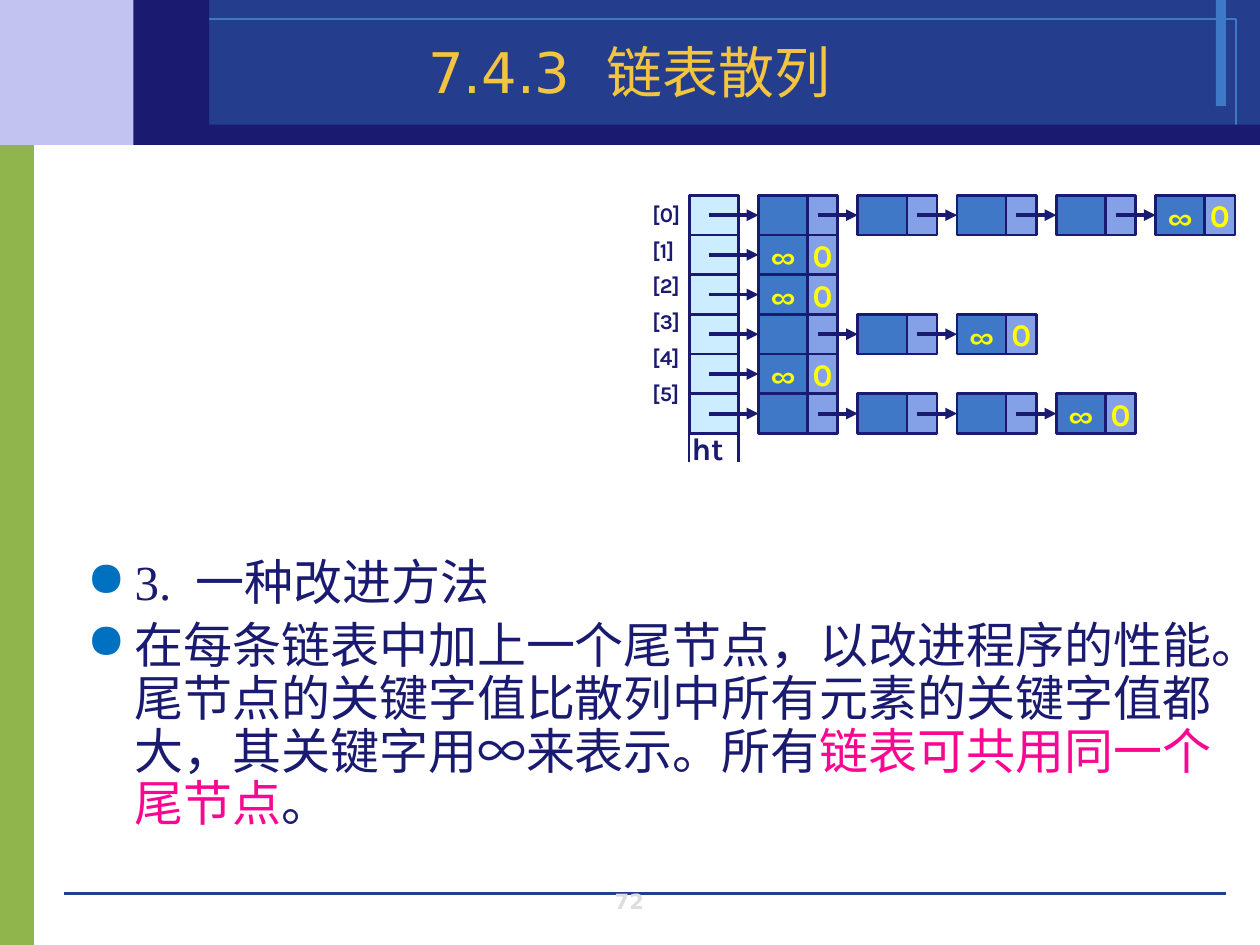
from lxml import etree
from pptx import Presentation, util as u
from pptx.dml.color import RGBColor
from pptx.enum import shapes, text
from pptx.oxml.ns import qn

NAVY, BLUE, ROYAL, LILAC = "1A1A70", "3E78C6", "243D8C", "84A1E8"
ROW_TOP, ROW_HEIGHT = 1.55, 0.315
TABLE_LEFT, KEY_WIDTH, LINK_WIDTH = 5.47, 0.39, 0.24
NODE_LEFT, NODE_PITCH = 6.02, 0.788
CHAIN_LENGTHS = [5, 1, 1, 3, 1, 4]


def color(value):
    """Turn a hex string into a colour."""
    return RGBColor.from_string(value)


def add_run(paragraph, words, size, font, fill, bold=False):
    """Add one formatted run to a paragraph."""
    run = paragraph.add_run()
    run.text = words
    run.font.size = u.Pt(size)
    run.font.name = font
    run.font.bold = bold
    run.font.color.rgb = color(fill)


def add_box(slide, left, top, width, height, fill=None, line=None, weight=1.5):
    """Add a rectangle without shadow."""
    shape = slide.shapes.add_shape(
        shapes.MSO_SHAPE.RECTANGLE, *map(u.Inches, (left, top, width, height)))
    shape.shadow.inherit = False
    if fill:
        shape.fill.solid()
        shape.fill.fore_color.rgb = color(fill)
    else:
        shape.fill.background()
    if line:
        shape.line.color.rgb = color(line)
        shape.line.width = u.Pt(weight)
    else:
        shape.line.fill.background()
    return shape


def add_line(slide, start, end, stroke, weight):
    """Add a straight line without shadow."""
    line = slide.shapes.add_connector(
        shapes.MSO_CONNECTOR.STRAIGHT, *map(u.Inches, (*start, *end)))
    line.line.color.rgb = color(stroke)
    line.line.width = u.Pt(weight)
    etree.SubElement(line._element.spPr, qn("a:effectLst"))
    return line


def add_arrow(slide, left, middle, target):
    """Add an arrow that ends at the left side of the target."""
    arrow = add_line(slide, (left, middle), (left + 0.3, middle), NAVY, 2.25)
    arrow.end_connect(target, 1)
    etree.SubElement(arrow.line._get_or_add_ln(), qn("a:tailEnd"), type="triangle")


def add_text_box(slide, left, top, width, height):
    """Add a wrapping text box and return its text frame."""
    frame = slide.shapes.add_textbox(
        *map(u.Inches, (left, top, width, height))).text_frame
    frame.word_wrap = True
    return frame


def next_paragraph(frame, index, space):
    """Return the paragraph at the index, spaced from the one before."""
    if index == 0:
        return frame.paragraphs[0]
    paragraph = frame.add_paragraph()
    paragraph.space_before = u.Pt(space)
    return paragraph


def add_bullet(paragraph):
    """Give a paragraph a hanging round bullet."""
    properties = paragraph._p.get_or_add_pPr()
    properties.set("marL", str(u.Inches(0.38)))
    properties.set("indent", str(u.Inches(-0.38)))
    bullet_color = etree.SubElement(properties, qn("a:buClr"))
    etree.SubElement(bullet_color, qn("a:srgbClr"), val="0070C0")
    etree.SubElement(properties, qn("a:buChar"), char="●")


def add_symbol(shape, symbol, size):
    """Centre a yellow symbol in a cell."""
    frame = shape.text_frame
    frame.word_wrap = False
    frame.vertical_anchor = text.MSO_ANCHOR.MIDDLE
    paragraph = frame.paragraphs[0]
    paragraph.alignment = text.PP_ALIGN.CENTER
    add_run(paragraph, symbol, size, "Karla", "FFFF00", True)


def add_frame(slide):
    """Draw the coloured bands and the footer."""
    add_box(slide, 0, 1.07, 0.27, 6.43, "90B54D")
    add_box(slide, 0, 0, 1.53, 1.15, "C3C3F1")
    add_box(slide, 1.53, 0, 8.47, 1.15, ROYAL)
    add_box(slide, 9.65, 0, 0.08, 0.84, BLUE)
    add_box(slide, 1.19, 0.15, 8.62, 0.85, line=BLUE, weight=0)
    add_line(slide, (0.51, 7.09), (9.73, 7.09), ROYAL, 0)
    add_box(slide, 1.3, 0.99, 8.7, 0.16, NAVY)
    add_box(slide, 1.06, 0, 0.6, 1.15, NAVY)
    frame = add_text_box(slide, 3.83, 7.05, 2.33, 0.25)
    frame.vertical_anchor = text.MSO_ANCHOR.BOTTOM
    frame.paragraphs[0].alignment = text.PP_ALIGN.CENTER
    add_run(frame.paragraphs[0], "72", 12, "DejaVu Sans", "DDDDDD", True)


def add_title(slide):
    """Format the title and bring it in front of the bands."""
    title = slide.shapes.title
    title.left, title.top, title.width, title.height = map(
        u.Inches, (3.02, 0.13, 3.95, 0.75))
    title._element.getparent().append(title._element)
    frame = title.text_frame
    frame.vertical_anchor = text.MSO_ANCHOR.BOTTOM
    frame.paragraphs[0].alignment = text.PP_ALIGN.CENTER
    add_run(frame.paragraphs[0], "7.4.3  链表散列", 32, "DejaVu Sans", "F3C43F")


def add_body(slide):
    """Add the bulleted explanation."""
    paragraphs = [
        [("3.  一种改进方法", NAVY)],
        [("在每条链表中加上一个尾节点，以改进程序的性能。尾节点的关键字值比散列中所有元素的"
          "关键字值都大，其关键字用∞来表示。所有", NAVY),
         ("链表可共用同一个尾节点", "FA0691"), ("。", NAVY)],
    ]
    frame = add_text_box(slide, 0.59, 4.38, 9.28, 2.22)
    for index, runs in enumerate(paragraphs):
        paragraph = next_paragraph(frame, index, 5.6)
        paragraph.line_spacing = 0.9
        add_bullet(paragraph)
        for words, fill in runs:
            add_run(paragraph, words, 28, "Times New Roman", fill)


def add_chain(slide, top, length):
    """Draw one bucket with its linked nodes, ending in the tail node."""
    middle = top + ROW_HEIGHT / 2
    add_box(slide, TABLE_LEFT, top, KEY_WIDTH, ROW_HEIGHT, "CCECFF", NAVY)
    arrow_left = TABLE_LEFT + 0.16
    for index in range(length):
        left = NODE_LEFT + index * NODE_PITCH
        key = add_box(slide, left, top, KEY_WIDTH, ROW_HEIGHT, BLUE, NAVY)
        link = add_box(slide, left + KEY_WIDTH, top, LINK_WIDTH, ROW_HEIGHT, LILAC, NAVY)
        add_arrow(slide, arrow_left, middle, key)
        arrow_left = left + 0.47
    add_symbol(key, "∞", 20)
    add_symbol(link, "0", 18)


def add_hash_table(slide):
    """Draw the bucket column, its labels and all chains."""
    labels = add_text_box(slide, 5.08, 1.55, 0.47, 1.8)
    for row, length in enumerate(CHAIN_LENGTHS):
        add_chain(slide, ROW_TOP + row * ROW_HEIGHT, length)
        add_run(next_paragraph(labels, row, 6), f"[{row}]", 12, "Karla", NAVY, True)
    for left in (TABLE_LEFT, TABLE_LEFT + KEY_WIDTH):
        add_line(slide, (left, ROW_TOP), (left, 3.67), NAVY, 1.5)
    name = add_text_box(slide, 5.39, 3.36, 0.55, 0.4)
    add_run(name.paragraphs[0], "ht", 18, "Karla", NAVY, True)


def main():
    """Build the slide and save it."""
    presentation = Presentation()
    presentation.slide_width, presentation.slide_height = u.Inches(10), u.Inches(7.5)
    slide = presentation.slides.add_slide(presentation.slide_layouts[5])
    add_frame(slide)
    add_title(slide)
    add_body(slide)
    add_hash_table(slide)
    presentation.save("out.pptx")


if __name__ == "__main__":
    main()
